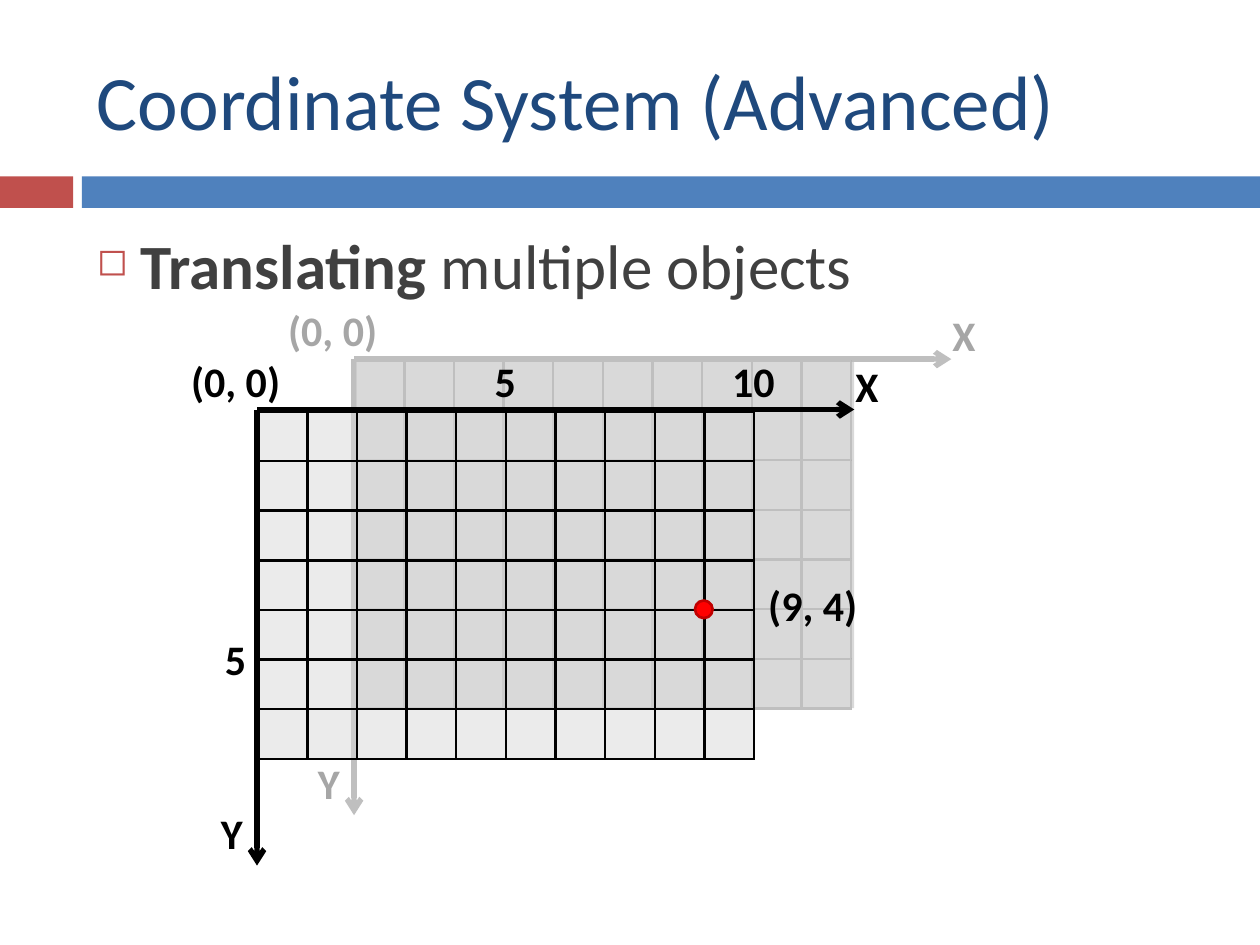
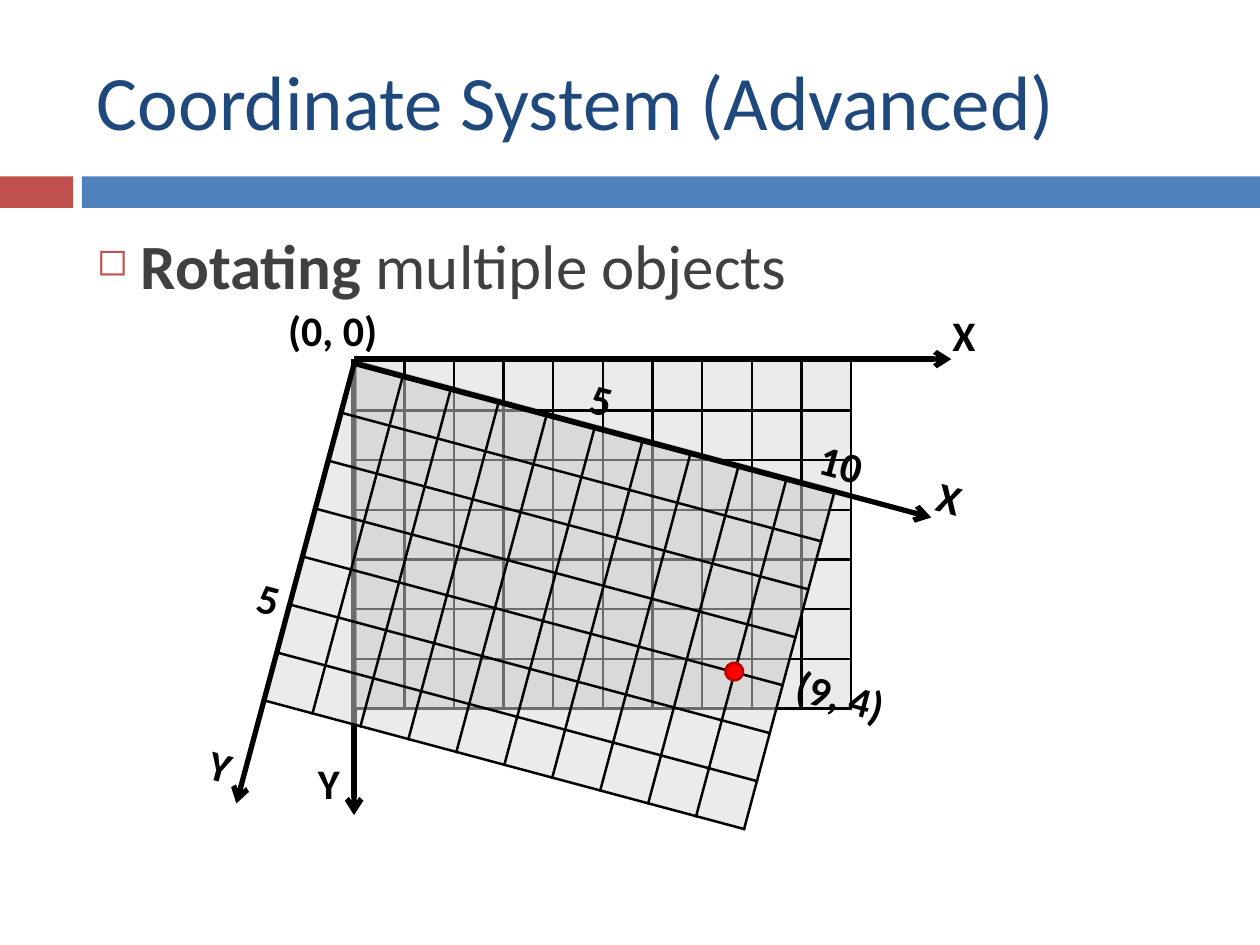
from dataclasses import dataclass
from math import cos, radians, sin

from lxml.etree import SubElement
from pptx import Presentation
from pptx.dml.color import RGBColor
from pptx.enum.shapes import MSO_CONNECTOR, MSO_SHAPE
from pptx.enum.text import MSO_ANCHOR, PP_ALIGN
from pptx.oxml.ns import qn
from pptx.util import Inches, Pt

FONT = "Calibri"
NAVY = RGBColor(0x1F, 0x49, 0x7D)
BLUE = RGBColor(0x4F, 0x81, 0xBD)
BRICK = RGBColor(0xC0, 0x50, 0x4D)
DARK = RGBColor(0x40, 0x40, 0x40)
BLACK = RGBColor(0x00, 0x00, 0x00)
SHADE = RGBColor(0xD9, 0xD9, 0xD9)
PALE = RGBColor(0xBF, 0xBF, 0xBF)
GRAY = RGBColor(0xA6, 0xA6, 0xA6)
RED = RGBColor(0xFF, 0x00, 0x00)
WINE = RGBColor(0xC0, 0x00, 0x00)

COLS, ROWS = 10, 7
WIDTH = 3.94
CELL = WIDTH / COLS
HEIGHT = ROWS * CELL
THIN = 0.01
DOT = 0.14


@dataclass(frozen=True)
class Label:
    """Text centred on a point given in inches from the grid's corner."""
    text: str
    x: float
    y: float
    width: float


ORIGIN = Label("(0, 0)", -0.17, -0.24, 0.95)
ENDS = (Label("X", 4.84, -0.2, 0.42), Label("Y", -0.2, 3.35, 0.4))
MARKS = (
    Label("5", 5 * CELL, -0.24, 0.38),
    Label("10", 10 * CELL, -0.24, 0.56),
    Label("5", -0.17, 5 * CELL, 0.38),
)
POINT = Label("(9, 4)", 4.41, 1.54, 0.95)


@dataclass(frozen=True)
class Frame:
    """A coordinate system whose grid starts at x, y and turns about that corner."""
    x: float
    y: float
    labels: tuple[Label, ...]
    angle: float = 0
    ink: RGBColor = BLACK
    tone: RGBColor = BLACK
    front: bool = False

    def place(self, x: float, y: float) -> tuple[float, float]:
        turn = radians(self.angle)
        return (self.x + x * cos(turn) - y * sin(turn),
                self.y + x * sin(turn) + y * cos(turn))


def paint(shape, fill: RGBColor, line: RGBColor | None = None,
          weight: float = 0, alpha: int = 100) -> None:
    shape.shadow.inherit = False
    shape.fill.solid()
    shape.fill.fore_color.rgb = fill
    if alpha < 100:
        color = shape.fill._xPr.find(qn("a:solidFill"))[0]
        SubElement(color, qn("a:alpha"), val=str(alpha * 1000))
    if line is None:
        shape.line.fill.background()
    else:
        shape.line.color.rgb = line
        shape.line.width = Pt(weight)


def add_box(slide, x: float, y: float, width: float, height: float,
            fill: RGBColor, kind=MSO_SHAPE.RECTANGLE, **look):
    shape = slide.shapes.add_shape(
        kind, Inches(x), Inches(y), Inches(width), Inches(height))
    paint(shape, fill, **look)
    return shape


def add_part(slide, frame: Frame, x: float, y: float, width: float,
             height: float, fill: RGBColor, **look) -> None:
    """Draw a box given in the frame's own coordinates."""
    mid_x, mid_y = frame.place(x + width / 2, y + height / 2)
    shape = add_box(slide, mid_x - width / 2, mid_y - height / 2,
                    width, height, fill, **look)
    shape.rotation = frame.angle


def add_text(slide, text: str, x: float, y: float, width: float, height: float,
             *, size: int, color: RGBColor, lead: str = "", bold: bool = False,
             align=PP_ALIGN.LEFT, anchor=MSO_ANCHOR.TOP, wrap: bool = True,
             angle: float = 0, before: float = 0):
    """Add a text box, with an optional bold lead, and return its paragraph."""
    box = slide.shapes.add_textbox(
        Inches(x), Inches(y), Inches(width), Inches(height))
    box.rotation = angle
    box.text_frame.word_wrap = wrap
    box.text_frame.vertical_anchor = anchor
    para = box.text_frame.paragraphs[0]
    para.alignment = align
    para.space_before = Pt(before)
    for words, heavy in ((lead, True), (text, bold)):
        if words:
            run = para.add_run()
            run.text = words
            run.font.name = FONT
            run.font.size = Pt(size)
            run.font.bold = heavy
            run.font.color.rgb = color
    return para


def add_bullet(para) -> None:
    props = para._p.get_or_add_pPr()
    props.set("marL", str(Inches(0.35)))
    props.set("indent", str(Inches(-0.35)))
    color = SubElement(props, qn("a:buClr"))
    SubElement(color, qn("a:srgbClr"), val=str(BRICK))
    SubElement(props, qn("a:buSzPct"), val="60000")
    SubElement(props, qn("a:buChar"), char="◻")


def add_axes(slide, frame: Frame) -> None:
    start = frame.place(0, -THIN)
    for end in (frame.place(0, 3.61), frame.place(4.74, -THIN)):
        line = slide.shapes.add_connector(
            MSO_CONNECTOR.STRAIGHT, *map(Inches, (*start, *end)))
        line.line.color.rgb = frame.ink
        line.line.width = Pt(3)
        SubElement(line.line._get_or_add_ln(), qn("a:tailEnd"), type="arrow")
        SubElement(line._element.spPr, qn("a:effectLst"))


def add_label(slide, frame: Frame, label: Label) -> None:
    x, y = frame.place(label.x, label.y)
    add_text(slide, label.text, x - label.width / 2, y - 0.25, label.width, 0.5,
             size=24, color=frame.tone, bold=True, align=PP_ALIGN.CENTER,
             wrap=False, angle=frame.angle)


def add_grid(slide, frame: Frame) -> None:
    for col in range(COLS + 1):
        add_part(slide, frame, col * CELL, 0, THIN, HEIGHT + THIN,
                 BLACK, line=frame.ink)
    for row in range(ROWS + 1):
        add_part(slide, frame, 0, row * CELL, WIDTH + THIN, THIN,
                 BLACK, line=frame.ink)


def add_frame(slide, frame: Frame) -> None:
    if not frame.front:
        add_axes(slide, frame)
    add_part(slide, frame, 0, 0, WIDTH, HEIGHT, SHADE, alpha=50)
    if frame.front:
        add_axes(slide, frame)
    add_grid(slide, frame)
    for label in frame.labels:
        add_label(slide, frame, label)
    if frame.front:
        add_part(slide, frame, 9 * CELL - DOT / 2, 4 * CELL - DOT / 2, DOT, DOT,
                 RED, kind=MSO_SHAPE.OVAL, line=WINE, weight=1.5)
        add_label(slide, frame, POINT)


def add_base(deck, lead: str):
    slide = deck.slides.add_slide(deck.slide_layouts[6])
    add_box(slide, 0, 1.4, 0.58, 0.25, BRICK)
    add_box(slide, 0.65, 1.4, 9.35, 0.25, BLUE)
    add_bullet(add_text(slide, " multiple objects", 0.67, 1.75, 8.92, 4.92,
                        lead=lead, size=36, color=DARK, before=7))
    add_text(slide, "Coordinate System (Advanced)", 0.67, 0.25, 8.92, 1.08,
             size=44, color=NAVY, anchor=MSO_ANCHOR.MIDDLE)
    return slide


def add_move(deck) -> None:
    slide = add_base(deck, "Translating")
    add_box(slide, 2.81, 2.85, 3.97, 2.77, SHADE)
    add_frame(slide, Frame(2.81, 2.86, (ORIGIN, *ENDS), ink=PALE, tone=GRAY))
    add_frame(slide, Frame(2.04, 3.26, (ORIGIN, *ENDS, *MARKS), front=True))


def add_turn(deck) -> None:
    slide = add_base(deck, "Rotating")
    pen = slide.shapes.build_freeform(Inches(2.81), Inches(2.85))
    corners = ((6.65, 3.88), (6.17, 5.6), (2.81, 5.62))
    pen.add_line_segments([(Inches(x), Inches(y)) for x, y in corners])
    paint(pen.convert_to_shape(), SHADE)
    add_frame(slide, Frame(2.81, 2.86, (ORIGIN, *ENDS)))
    add_frame(slide, Frame(2.81, 2.89, (*ENDS, *MARKS), angle=15, front=True))


def main() -> None:
    deck = Presentation()
    deck.slide_width, deck.slide_height = Inches(10), Inches(7.5)
    add_move(deck)
    add_turn(deck)
    deck.save("out.pptx")


if __name__ == "__main__":
    main()
